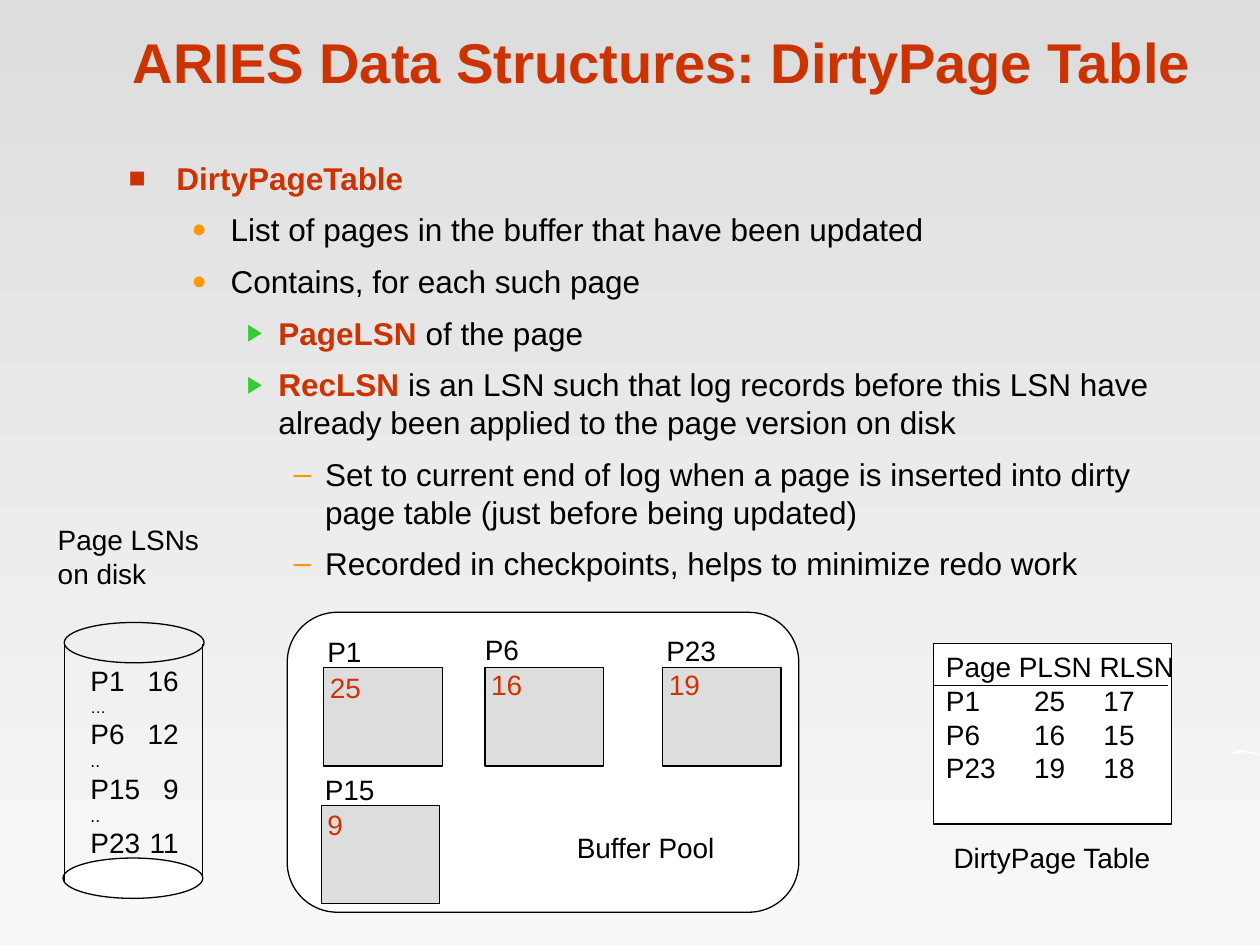
"""Build the slide on the ARIES dirty page table."""
from lxml.etree import SubElement as Sub
from pptx import Presentation
from pptx.dml.color import RGBColor
from pptx.enum.shapes import MSO_CONNECTOR as CXN, MSO_SHAPE as SHP
from pptx.enum.text import MSO_ANCHOR as ANC, MSO_AUTO_SIZE as FIT, PP_ALIGN as AL
from pptx.oxml.ns import qn
from pptx.util import Inches, Pt

RED, BLACK, WHITE, GREY = "CC3300", "000000", "FFFFFF", "DDDDDD"
ORANGE, GREEN = "FF9900", "33CC33"


def rgb(color):
    """Turn a hex string into a colour."""
    return RGBColor.from_string(color)


def write(p, text, size=16, color=BLACK, bold=False):
    """Add a formatted run to a paragraph."""
    r = p.add_run()
    r.text = text
    fmt = {"name": "Arial", "size": Pt(size), "bold": bold}
    for name, value in fmt.items():
        setattr(r.font, name, value)
    r.font.color.rgb = rgb(color)


prs = Presentation()
prs.slide_width, prs.slide_height = Inches(10), Inches(7.5)
s = prs.slides.add_slide(prs.slide_layouts[1])
bg = s.background.fill
bg.gradient()
bg.gradient_angle = 270
for stop, color in zip(bg.gradient_stops, (GREY, "F8F8F8")):
    stop.color.rgb = rgb(color)

swoosh = [(9.8, 5.96), (9.85, 5.95), (9.93, 5.97), (10, 5.98), (9.97, 5.99),
          (9.88, 5.97), (9.8, 5.98), (9.75, 6.01)]
fb = s.shapes.build_freeform(Inches(9.75), Inches(6.01), scale=1.0)
fb.add_line_segments([(Inches(x), Inches(y)) for x, y in swoosh])
sp = fb.convert_to_shape()
sp.shadow.inherit = False
sp.fill.solid()
sp.fill.fore_color.rgb = rgb(WHITE)
sp.line.fill.background()

title, body = s.shapes.title, s.placeholders[1]
for sp, box, anchor in ((title, (0.84, 0.13, 8.83, 0.67), ANC.BOTTOM),
                        (body, (0.92, 1.21, 8.71, 3.56), ANC.TOP)):
    sp.left, sp.top, sp.width, sp.height = map(Inches, box)
    sp.text_frame.auto_size = FIT.NONE
    sp.text_frame.vertical_anchor = anchor
p = title.text_frame.paragraphs[0]
p.alignment = AL.CENTER
write(p, "ARIES Data Structures: DirtyPage Table", 32, RED, True)

levels = [(0.38, 0.38, "■", RED, 90), (0.81, 0.31, "●", ORANGE, 80),
          (1.19, 0.25, "▶", GREEN, 75), (1.56, 0.25, "–", ORANGE, 100)]
points = [
    (0, "DirtyPageTable", ""),
    (1, "", "List of pages in the buffer that have been updated"),
    (1, "", "Contains, for each such page"),
    (2, "PageLSN", " of the page"),
    (2, "RecLSN ", "is an LSN such that log records before this LSN have "
                   "already been applied to the page version on disk"),
    (3, "", "Set to current end of log when a page is inserted into dirty "
            "page table (just before being updated)"),
    (3, "", "Recorded in checkpoints, helps to minimize redo work"),
]
tf = body.text_frame
for i, (level, term, text) in enumerate(points):
    p = tf.add_paragraph() if i else tf.paragraphs[0]
    margin, hang, char, color, size = levels[level]
    p.level = level
    pPr = p._p.get_or_add_pPr()
    pPr.set("marL", str(Inches(margin)))
    pPr.set("indent", str(-Inches(hang)))
    Sub(Sub(pPr, qn("a:buClr")), qn("a:srgbClr"), val=color)
    Sub(pPr, qn("a:buSzPct"), val=str(size * 1000))
    Sub(pPr, qn("a:buFont"), typeface="Arial")
    Sub(pPr, qn("a:buChar"), char=char)
    p.space_before = Pt(7.9 if i else 0)
    if term:
        write(p, term, 18, RED, True)
    if text:
        write(p, text, 18)

pages = [("P1", 2.57, 5.3, 2.5, 4.99, "25", 5.27),
         ("P6", 3.85, 5.3, 3.75, 4.97, "16", 5.25),
         ("P23", 5.26, 5.3, 5.19, 4.98, "19", 5.25),
         ("P15", 2.55, 6.39, 2.48, 6.08, "9", 6.36)]
shapes = [(SHP.RECTANGLE, 7.41, 5.11, 1.89, 1.43, WHITE),
          (SHP.ROUNDED_RECTANGLE, 2.28, 4.86, 4.06, 2.38, WHITE),
          (SHP.OVAL, 0.51, 4.94, 1.11, 0.32, None),
          (SHP.OVAL, 0.5, 6.81, 1.11, 0.32, WHITE)]
shapes += [(SHP.RECTANGLE, x, y, 0.94, 0.78, GREY) for _, x, y, *_ in pages]
for kind, *box, color in shapes:
    sp = s.shapes.add_shape(kind, *map(Inches, box))
    sp.shadow.inherit = False
    if color:
        sp.fill.solid()
        sp.fill.fore_color.rgb = rgb(color)
    else:
        sp.fill.background()
    sp.line.color.rgb = rgb(BLACK)
    sp.line.width = Pt(0.75)

for x1, y1, x2, y2 in ((7.41, 5.44, 9.27, 5.44), (0.51, 5.11, 0.51, 6.99),
                       (1.61, 5.11, 1.61, 6.99)):
    line = s.shapes.add_connector(CXN.STRAIGHT, *map(Inches, (x1, y1, x2, y2)))
    line.line.color.rgb = rgb(BLACK)
    line.line.width = Pt(0.75)
    Sub(line._element.spPr, qn("a:effectLst"))

table = ["Page PLSN RLSN", "P1\t25\t17", "P6\t16\t15", "P23\t19\t18"]
disk = ["P1\t16", "…", "P6\t12", "..", "P15\t9", "..", "P23\t11"]
texts = [(7.41, 5.11, 2.1, 1.43, table, BLACK, [(0.7, "l"), (1.25, "l")]),
         (0.62, 5.22, 1, 1.65, disk, BLACK, [(0.7, "r")]),
         (0.36, 4.1, 1.38, 0.64, ["Page LSNs", "on disk"], BLACK, []),
         (7.47, 6.62, 1.79, 0.37, ["DirtyPage Table"], BLACK, []),
         (4.48, 6.54, 1.29, 0.37, ["Buffer Pool"], BLACK, [])]
for label, x, y, label_x, label_y, lsn, lsn_y in pages:
    texts.append((label_x, label_y, 0.65, 0.37, [label], BLACK, []))
    texts.append((x - 0.05, lsn_y, 0.54, 0.37, [lsn], RED, []))
small = {"…": 9, "..": 10}
for *box, lines, color, tabs in texts:
    tf = s.shapes.add_textbox(*map(Inches, box)).text_frame
    tf.word_wrap = True
    for i, text in enumerate(lines):
        p = tf.add_paragraph() if i else tf.paragraphs[0]
        if "\t" in text:
            tab_list = Sub(p._p.get_or_add_pPr(), qn("a:tabLst"))
            for pos, align in tabs:
                Sub(tab_list, qn("a:tab"), pos=str(Inches(pos)), algn=align)
        write(p, text, small.get(text, 16), color)

prs.save("out.pptx")
